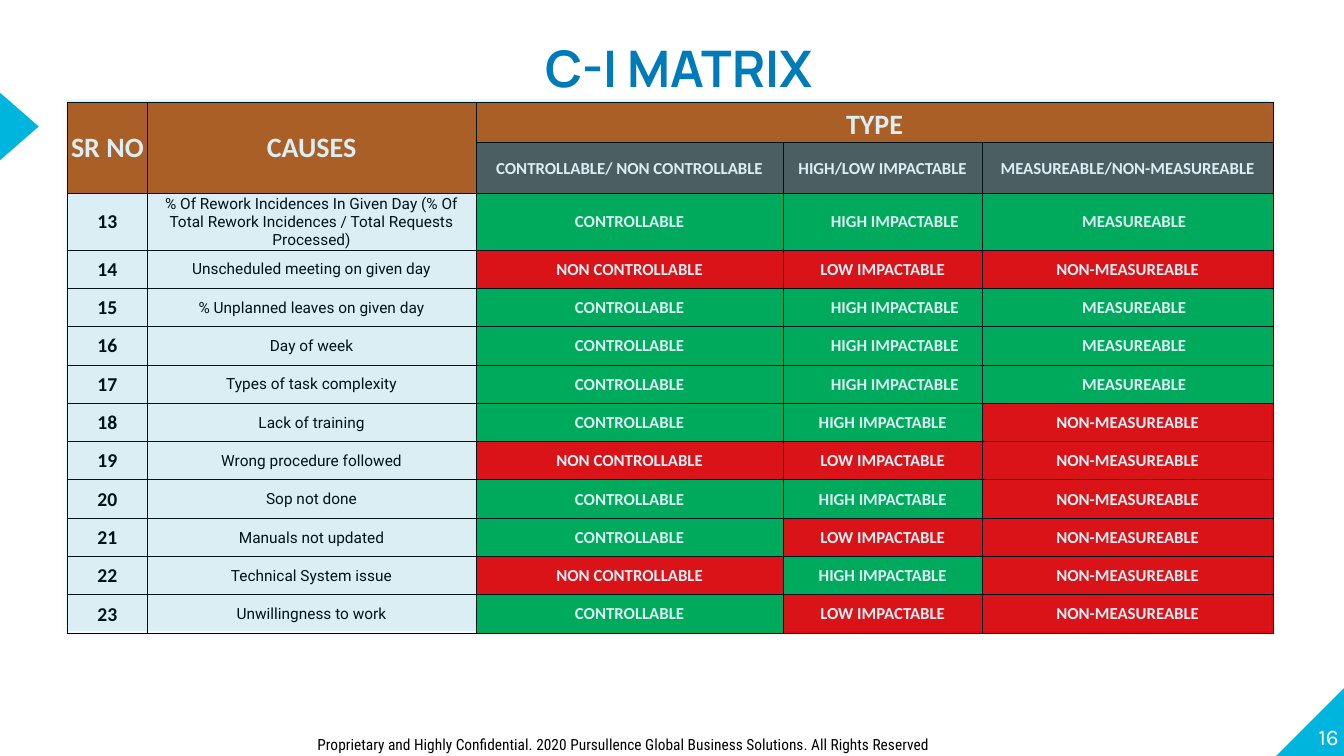
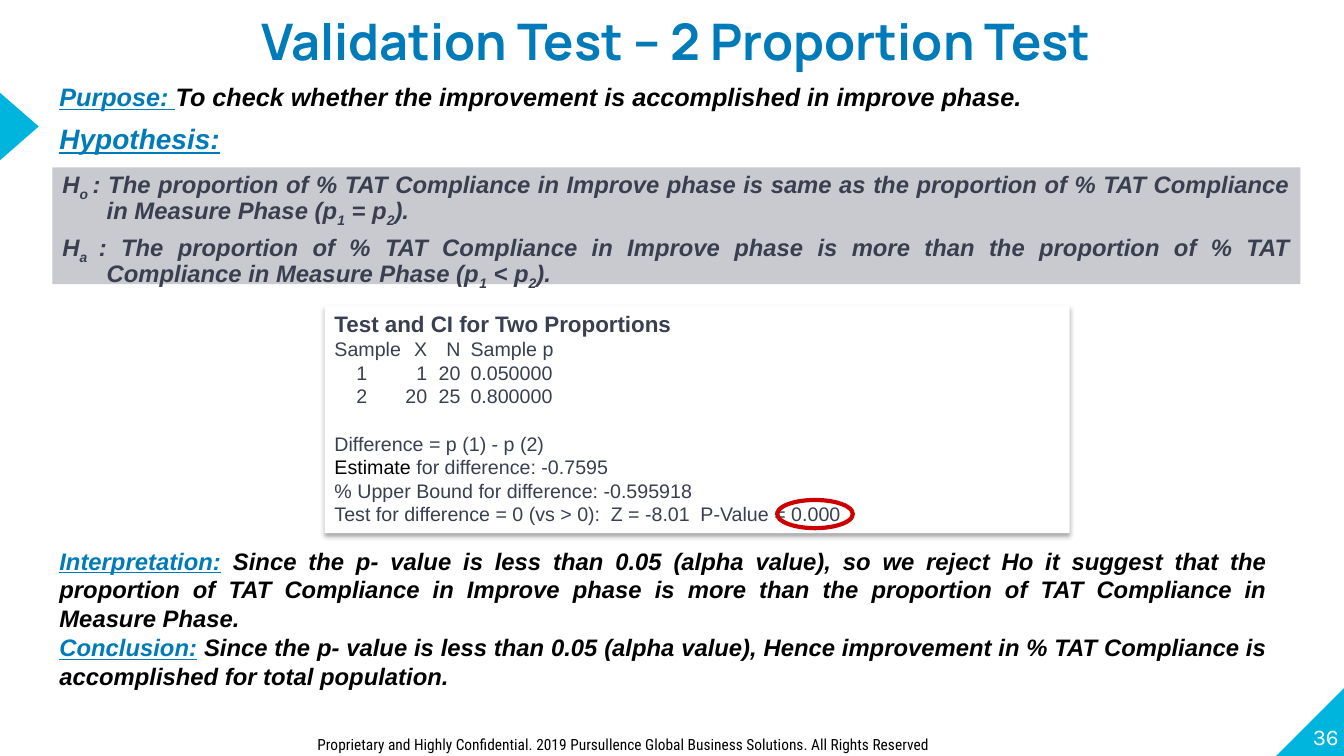
from lxml.etree import SubElement
from pptx import Presentation
from pptx.dml.color import RGBColor
from pptx.enum.shapes import MSO_SHAPE
from pptx.enum.text import MSO_ANCHOR, MSO_AUTO_SIZE, PP_ALIGN
from pptx.oxml.ns import qn
from pptx.util import Inches, Pt

COLORS = {
    "accent": "00B5DD", "title": "007BB9", "ink": "3A3F50", "band": "C8CAD0",
    "black": "000000", "white": "FFFFFF", "ring": "CC0000",
    "head": "C65911", "subhead": "595959", "good": "00B050", "bad": "FF0000",
}
SLIDE_W, SLIDE_H = Inches(13.33), Inches(7.5)

# Shares of the slide in percent
COLUMN_WIDTHS = [5.93, 24.45, 22.88, 14.78, 21.68]
ROW_HEIGHTS = [5.33, 6.8, 7.47] + [5.07] * 10
TEXT_LEFT, TEXT_WIDTH = 3.68, 91.35

FIRST_CAUSE_NUMBER = 13
# Cause, then whether it is controllable, high impact and measurable
CAUSES = [
    ("% Of Rework Incidences In Given Day (% Of Total Rework Incidences / "
     "Total Requests Processed)", True, True, True),
    ("Unscheduled meeting on given day", False, False, False),
    ("% Unplanned leaves on given day", True, True, True),
    ("Day of week", True, True, True),
    ("Types of task complexity", True, True, True),
    ("Lack of training", True, True, False),
    ("Wrong procedure followed", False, False, False),
    ("Sop not done", True, True, False),
    ("Manuals not updated", True, False, False),
    ("Technical System issue", False, True, False),
    ("Unwillingness to work", True, False, False),
]
RATINGS = [
    ("CONTROLLABLE", "NON CONTROLLABLE"),
    ("HIGH IMPACTABLE", "LOW IMPACTABLE"),
    ("MEASUREABLE", "NON-MEASUREABLE"),
]
MEASURABLE_ROW_SHIFTS = [0, 0.24, 0.13]

LABEL = {"color": "title", "underline": True}
SUB = {"baseline": -25000}


def rgb(name):
    return RGBColor.from_string(COLORS[name])


def across(percent):
    return int(SLIDE_W * percent / 100)


def down(percent):
    return int(SLIDE_H * percent / 100)


def area(left, top, width, height):
    return across(left), down(top), across(width), down(height)


def format_run(run, font="Arial", size=14, color="ink", bold=False,
               italic=False, underline=False, baseline=None):
    run.font.name = font
    run.font.size = Pt(size)
    run.font.color.rgb = rgb(color)
    run.font.bold = bold
    run.font.italic = italic
    run.font.underline = underline
    if baseline:
        run._r.get_or_add_rPr().set("baseline", str(baseline))


def write(frame, *paragraphs, align=PP_ALIGN.LEFT, line_spacing=None,
          gap=0, hanging=0, **style):
    """Each paragraph is a string or a list of strings and (string, style)."""
    for index, parts in enumerate(paragraphs):
        paragraph = frame.add_paragraph() if index else frame.paragraphs[0]
        paragraph.alignment = align
        if line_spacing:
            paragraph.line_spacing = line_spacing
        if index and gap:
            paragraph.space_before = Pt(gap)
        if hanging:
            properties = paragraph._p.get_or_add_pPr()
            properties.set("marL", str(Inches(hanging)))
            properties.set("indent", str(-Inches(hanging)))
        for part in [parts] if isinstance(parts, str) else parts:
            words, changes = (part, {}) if isinstance(part, str) else part
            run = paragraph.add_run()
            run.text = words
            format_run(run, **{**style, **changes})


def set_tabs(paragraph, *stops):
    tab_list = SubElement(paragraph._p.get_or_add_pPr(), qn("a:tabLst"))
    for position, alignment in stops:
        SubElement(tab_list, qn("a:tab"), pos=str(Inches(position)), algn=alignment)


def prepare(frame, anchor=MSO_ANCHOR.TOP, inset=True):
    frame.word_wrap = True
    frame.auto_size = MSO_AUTO_SIZE.NONE
    frame.vertical_anchor = anchor
    if not inset:
        frame.margin_left = frame.margin_right = 0
        frame.margin_top = frame.margin_bottom = 0
    return frame


def add_text(slide, place, *paragraphs, anchor=MSO_ANCHOR.TOP, inset=True, **style):
    box = slide.shapes.add_textbox(*area(*place))
    write(prepare(box.text_frame, anchor, inset), *paragraphs, **style)


def add_block(slide, kind, place, fill=None, line=None, rotation=0,
              opacity=None, shadow=False):
    block = slide.shapes.add_shape(kind, *area(*place))
    block.rotation = rotation
    block.shadow.inherit = False
    if fill:
        block.fill.solid()
        block.fill.fore_color.rgb = rgb(fill)
    else:
        block.fill.background()
    if line:
        block.line.color.rgb = rgb(line)
        block.line.width = Pt(3)
    else:
        block.line.fill.background()
    properties = block.element.spPr
    if opacity:
        tint = properties.find(qn("a:solidFill")).find(qn("a:srgbClr"))
        SubElement(tint, qn("a:alpha"), val=str(opacity * 1000))
    if shadow:
        outer = SubElement(properties.find(qn("a:effectLst")), qn("a:outerShdw"),
                           blurRad=str(Pt(3.5)), dist=str(Pt(2.2)),
                           dir="5400000", algn="t", rotWithShape="0")
        shade = SubElement(outer, qn("a:srgbClr"), val=COLORS["black"])
        SubElement(shade, qn("a:alpha"), val="32000")
    return block


def add_base(deck, title, title_place, number, year):
    """Add a slide with the title, corner, marker and footer all slides share."""
    slide = deck.slides.add_slide(deck.slide_layouts[5])
    heading = slide.shapes.title
    heading.left, heading.top, heading.width, heading.height = area(*title_place)
    write(prepare(heading.text_frame, inset=False), title, align=PP_ALIGN.CENTER,
          line_spacing=1.5, font="Manrope", size=36, color="title", bold=True)
    add_block(slide, MSO_SHAPE.RIGHT_TRIANGLE, (94.95, 90.93, 5.1, 9.07),
              "accent", rotation=270)
    add_block(slide, MSO_SHAPE.ISOSCELES_TRIANGLE, (-1.13, 14.13, 5.1, 5.2),
              "accent", rotation=90)
    add_text(slide, (94.58, 90.13, 5.03, 9.07), number, anchor=MSO_ANCHOR.BOTTOM,
             inset=False, align=PP_ALIGN.RIGHT, font="Karla", size=16, color="white")
    add_text(slide, (22.88, 96.53, 63.83, 3.47),
             f"Proprietary and Highly Confidential. {year} Pursullence Global "
             "Business Solutions. All Rights Reserved",
             font="Roboto Condensed", size=11, color="black")
    return slide


def add_borders(cell):
    properties = cell._tc.get_or_add_tcPr()
    for side in ("lnL", "lnR", "lnT", "lnB"):
        edge = SubElement(properties, qn(f"a:{side}"), w=str(Pt(0.5)))
        ink = SubElement(edge, qn("a:solidFill"))
        SubElement(ink, qn("a:srgbClr"), val=COLORS["black"])


def fill_cell(cell, words, fill=None, anchor=MSO_ANCHOR.MIDDLE, shift=0, **style):
    cell.vertical_anchor = anchor
    cell.margin_left = Inches(0.01 + shift)
    cell.margin_right = cell.margin_top = Inches(0.01)
    cell.margin_bottom = 0
    if fill:
        cell.fill.solid()
        cell.fill.fore_color.rgb = rgb(fill)
    else:
        cell.fill.background()
    look = {"font": "Calibri", "size": 12, "color": "white", "bold": True}
    write(cell.text_frame, words, align=PP_ALIGN.CENTER, **{**look, **style})


def add_matrix(slide):
    frame = slide.shapes.add_table(
        len(ROW_HEIGHTS), len(COLUMN_WIDTHS),
        *area(5.03, 13.47, sum(COLUMN_WIDTHS), sum(ROW_HEIGHTS)))
    table = frame.table
    table.first_row = table.horz_banding = False
    for column, width in zip(table.columns, COLUMN_WIDTHS):
        column.width = across(width)
    for row, height in zip(table.rows, ROW_HEIGHTS):
        row.height = down(height)
    for cell in table.iter_cells():
        add_borders(cell)

    table.cell(0, 0).merge(table.cell(1, 0))
    table.cell(0, 1).merge(table.cell(1, 1))
    table.cell(0, 2).merge(table.cell(0, 4))
    fill_cell(table.cell(0, 0), "SR NO", "head", size=20)
    fill_cell(table.cell(0, 1), "CAUSES", "head", size=20)
    fill_cell(table.cell(0, 2), "TYPE", "head", MSO_ANCHOR.BOTTOM, size=20)
    types = ["CONTROLLABLE/ NON CONTROLLABLE", "HIGH/LOW IMPACTABLE",
             "MEASUREABLE/NON-MEASUREABLE"]
    for column, name in enumerate(types, 2):
        fill_cell(table.cell(1, column), name, "subhead")

    for index, (cause, *verdicts) in enumerate(CAUSES):
        row = index + 2
        fill_cell(table.cell(row, 0), str(FIRST_CAUSE_NUMBER + index),
                  size=14, color="black")
        fill_cell(table.cell(row, 1), cause, font="Roboto", size=11,
                  color="black", bold=False)
        shifts = MEASURABLE_ROW_SHIFTS if verdicts[-1] else [0] * 3
        for column, (verdict, (yes, no), shift) in enumerate(
                zip(verdicts, RATINGS, shifts), 2):
            fill_cell(table.cell(row, column), yes if verdict else no,
                      "good" if verdict else "bad", shift=shift)


def add_test_printout(slide):
    panel = add_block(slide, MSO_SHAPE.RECTANGLE, (24.15, 40.4, 55.43, 30.13),
                      "white", shadow=True)
    frame = prepare(panel.text_frame)
    write(frame,
          [("Test and CI for Two Proportions", {"size": 16, "bold": True})],
          "Sample\tX\tN\tSample p",
          "\t1\t1\t20\t0.050000",
          "\t2\t20\t25\t0.800000",
          "Difference = p (1) - p (2)",
          [("Estimate", {"color": "black"}), " for difference: -0.7595"],
          "% Upper Bound for difference: -0.595918",
          "Test for difference = 0 (vs > 0):\tZ = -8.01\tP-Value = 0.000")
    for sample_row in frame.paragraphs[1:4]:
        set_tabs(sample_row, (0.27, "ctr"), (0.92, "r"), (1.25, "r"), (1.35, "l"))
    frame.paragraphs[4].space_before = Pt(17)
    set_tabs(frame.paragraphs[-1], (2.74, "l"), (3.63, "l"))
    add_block(slide, MSO_SHAPE.OVAL, (57.83, 66.13, 5.63, 3.73), line="ring")


def hypothesis(letter, relation, sign):
    return ["H", (f"{letter} ", SUB),
            f": The proportion of % TAT Compliance in Improve phase is {relation} "
            "the proportion of % TAT Compliance in Measure Phase (p",
            ("1", SUB), f" {sign} p", ("2", SUB), ")."]


def add_statement(slide, top, height, label, words="", size=17,
                  align=PP_ALIGN.JUSTIFY):
    parts = [(label, LABEL)] + ([words] if words else [])
    add_text(slide, (TEXT_LEFT, top, TEXT_WIDTH, height), parts, align=align,
             size=size, color="black", bold=True, italic=True)


def build_matrix_slide(deck):
    slide = add_base(deck, "C-I MATRIX", (14.1, 0.93, 72.83, 10.13), "16", 2020)
    add_matrix(slide)
    add_block(slide, MSO_SHAPE.RECTANGLE, (4.95, 13.2, 89.63, 70.27), "accent",
              opacity=11, shadow=True)


def build_validation_slide(deck):
    slide = add_base(deck, "Validation Test – 2 Proportion Test",
                     (13.88, -2.67, 72.83, 10.13), "36", 2019)
    add_statement(slide, 10.13, 5.33, "Purpose: ",
                  "To check whether the improvement is accomplished in improve phase.",
                  size=18, align=PP_ALIGN.LEFT)
    add_statement(slide, 15.47, 5.87, "Hypothesis:", size=20, align=PP_ALIGN.LEFT)
    band = add_block(slide, MSO_SHAPE.RECTANGLE, (3.9, 22.13, 92.85, 15.47), "band")
    write(prepare(band.text_frame), hypothesis("o", "same as", "="),
          hypothesis("a", "more than", "<"), align=PP_ALIGN.JUSTIFY,
          line_spacing=0.8, gap=8.5, hanging=0.44, size=17, bold=True, italic=True)
    add_test_printout(slide)
    add_statement(slide, 71.6, 12.8, "Interpretation:",
                  " Since the p- value is less than 0.05 (alpha value), so we reject "
                  "Ho it suggest that the proportion of TAT Compliance in Improve "
                  "phase is more than the proportion of TAT Compliance in Measure Phase.")
    add_statement(slide, 83.07, 8.93, "Conclusion:",
                  " Since the p- value is less than 0.05 (alpha value), Hence "
                  "improvement in % TAT Compliance is accomplished for total population.")


def main():
    deck = Presentation()
    deck.slide_width, deck.slide_height = SLIDE_W, SLIDE_H
    build_matrix_slide(deck)
    build_validation_slide(deck)
    deck.save("out.pptx")


if __name__ == "__main__":
    main()
